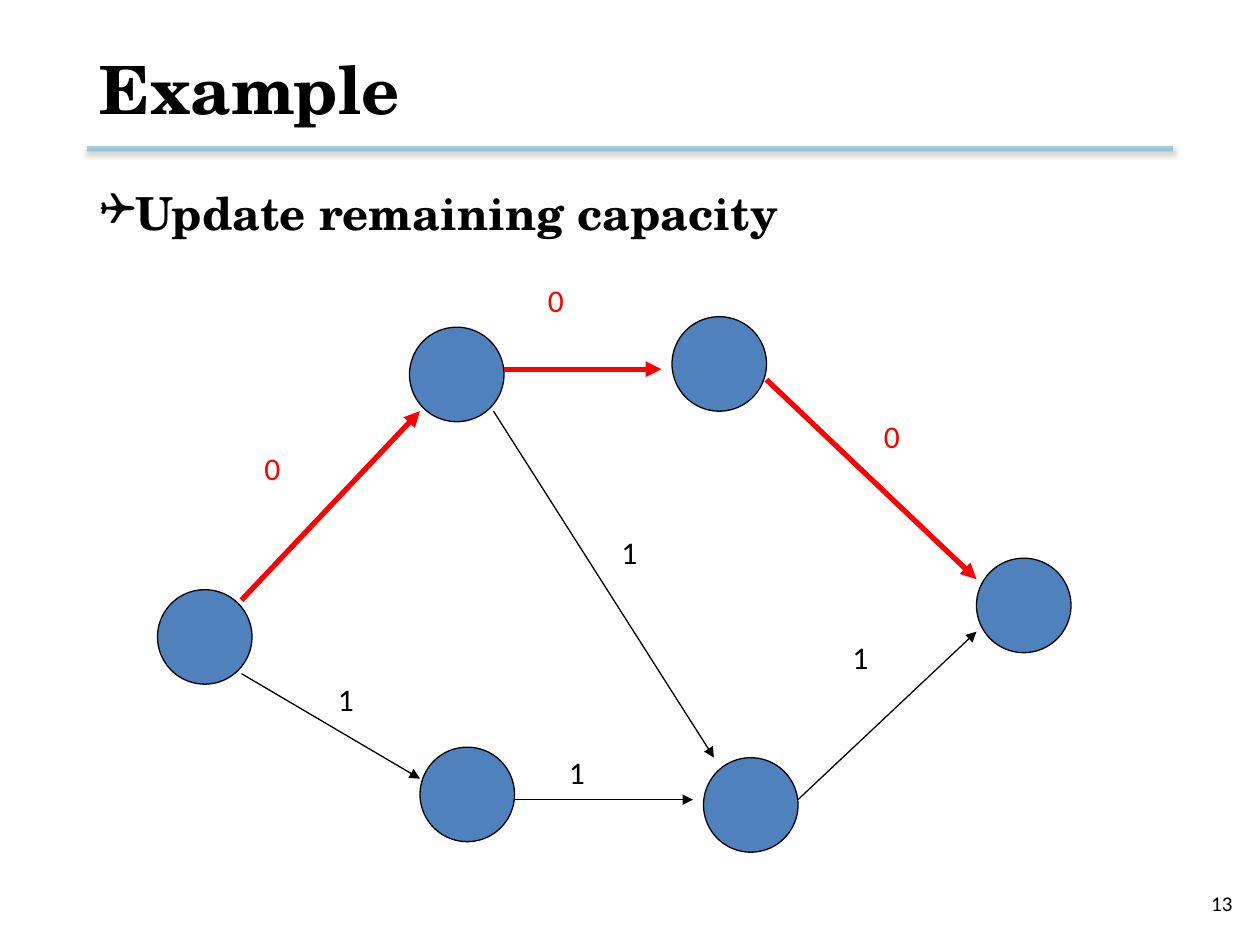
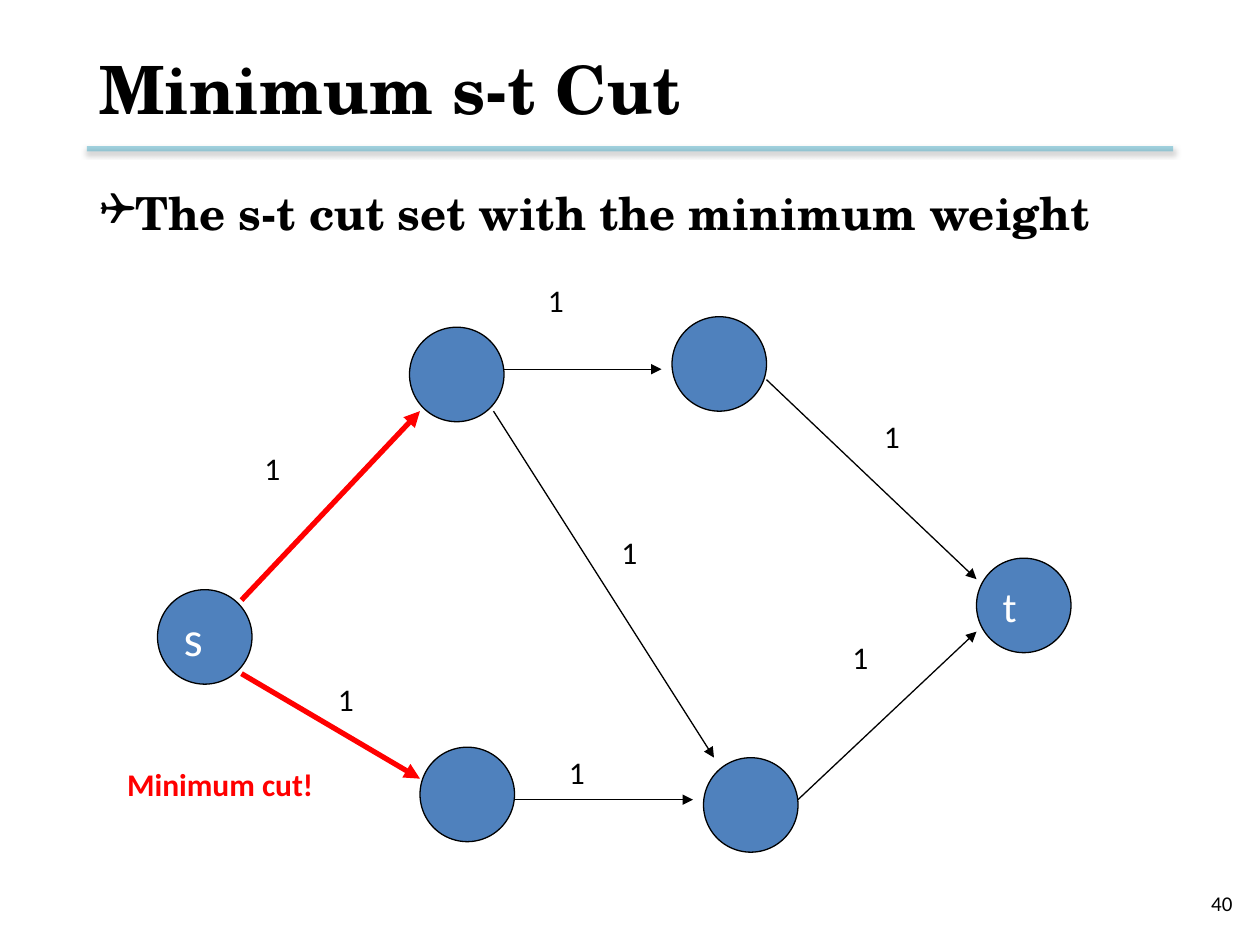
from dataclasses import dataclass

from lxml import etree
from pptx import Presentation, util as u
from pptx.dml.color import RGBColor
from pptx.enum import shapes, text
from pptx.oxml import parse_xml
from pptx.oxml.ns import qn

NS = 'xmlns:a="http://schemas.openxmlformats.org/drawingml/2006/main"'
CELL = u.Inches(1) // 12  # the slide is a grid of 120 columns by 90 rows


@dataclass(frozen=True)
class Theme:
    head: str = "TeX Gyre Schola"
    body: str = "Calibri"
    ink: str = "000000"
    mark: str = "FF0000"
    node: str = "4F81BD"
    rule: str = "4BACC6"
    pale: str = "FFFFFF"
    title: int = 38
    point: int = 26
    label: int = 18
    page: int = 12
    thin: float = 0.75
    thick: int = 3


T = Theme()


@dataclass(frozen=True)
class Box:
    col: float
    row: float
    wide: float
    high: float

    def spot(self, col, row):
        return round((self.col + col) * CELL), round((self.row + row) * CELL)

    def area(self, col, row, wide, high):
        return Box(self.col + col, self.row + row, wide, high)

    def rect(self):
        return (*self.spot(0, 0), round(self.wide * CELL), round(self.high * CELL))


PAGE = Box(0, 0, 120, 90)
MAIN = PAGE.area(8.28, 2.04, 103.44, 76.2)
GRAPH = PAGE.area(15, 26.16, 87, 55)

# Columns and rows inside GRAPH
SIZE = 9
NODES = {"s": (0, 30), "c": (25, 45), "a": (24, 5),
         "t": (78, 27), "d": (52, 46), "b": (49, 4)}
# edge: start, end, label corner, label width
EDGES = {
    "sa": ((8, 31), (25, 13), (9, 16), 7),
    "sc": ((8, 38), (25, 48), (16, 38), 5),
    "ab": ((33, 9), (48, 9), (36, 0), 10),
    "cd": ((34, 50), (51, 50), (38, 45), 6),
    "ad": ((32, 13), (53, 46), (43, 24), 8),
    "bt": ((58, 10), (78, 29), (68, 13), 8),
    "dt": ((61, 50), (78, 34), (65, 34), 8),
}


def style(frame, size, color=T.ink, face=T.body, bold=False):
    for run in frame.paragraphs[0].runs:
        font = run.font
        font.name, font.size, font.bold = face, u.Pt(size), bold
        font.color.rgb = RGBColor.from_string(color)


def write(slide, box, words, size, color=T.ink, bold=False, wrap=True):
    frame = slide.shapes.add_textbox(*box.rect()).text_frame
    frame.text, frame.word_wrap = words, wrap
    style(frame, size, color, bold=bold)
    return frame


def draw(slide, start, end, color, width):
    """Add a straight line without a shadow."""
    line = slide.shapes.add_connector(shapes.MSO_CONNECTOR.STRAIGHT, *start, *end)
    line.line.color.rgb = RGBColor.from_string(color)
    line.line.width = u.Pt(width)
    etree.SubElement(line._element.spPr, qn("a:effectLst"))
    return line


def fill(holder, box, words, size, anchor):
    """Place a placeholder and set its text in the heading face."""
    holder.left, holder.top, holder.width, holder.height = box.rect()
    frame = holder.text_frame
    frame.text, frame.word_wrap = words, True
    frame.auto_size = text.MSO_AUTO_SIZE.NONE
    frame.vertical_anchor = anchor
    para = frame.paragraphs[0]
    para.alignment = text.PP_ALIGN.LEFT
    para.space_before = u.Pt(0)
    style(frame, size, face=T.head, bold=True)
    return para


def rule(slide, box):
    line = draw(slide, box.spot(0, 0), box.spot(box.wide, 0), T.rule, T.thick)
    props = line._element.spPr
    tint = props.find(".//" + qn("a:srgbClr"))
    etree.SubElement(tint, qn("a:alpha"), val="50000")
    props.find(qn("a:effectLst")).append(parse_xml(
        f'<a:outerShdw {NS} blurRad="40000" dist="20000" dir="5400000" rotWithShape="0">'
        f'<a:srgbClr val="{T.ink}"><a:alpha val="38000"/></a:srgbClr></a:outerShdw>'))


def header(slide, box, title, point):
    fill(slide.shapes.title, box.area(0, 0, box.wide, 12.72), title, T.title,
         text.MSO_ANCHOR.MIDDLE)
    rule(slide, box.area(0, 12.12, box.wide, 0))
    para = fill(slide.placeholders[1], box.area(0, 15, box.wide, 61.2), point,
                T.point, text.MSO_ANCHOR.TOP)
    props = para._p.get_or_add_pPr()
    props.set("marL", str(u.Inches(0.25)))
    props.set("indent", str(u.Inches(-0.45)))
    etree.SubElement(props, qn("a:buFont"), typeface="Wingdings")
    etree.SubElement(props, qn("a:buChar"), char="❑")


def footer(slide, box, number):
    frame = write(slide, box.area(90.6, 83.64, 27.96, 4.8), str(number), T.page)
    frame.vertical_anchor = text.MSO_ANCHOR.MIDDLE
    frame.paragraphs[0].alignment = text.PP_ALIGN.RIGHT


def circle(slide, box, name, size):
    """Add a node; it shows its name when a type size is given."""
    node = slide.shapes.add_shape(shapes.MSO_SHAPE.OVAL, *box.rect())
    node.shadow.inherit = False
    node.fill.solid()
    node.fill.fore_color.rgb = RGBColor.from_string(T.node)
    node.line.color.rgb = RGBColor.from_string(T.ink)
    node.line.width = u.Pt(T.thin)
    if size:
        frame = node.text_frame
        frame.text, frame.word_wrap = name, False
        frame.vertical_anchor = text.MSO_ANCHOR.MIDDLE
        frame.paragraphs[0].alignment = text.PP_ALIGN.LEFT
        style(frame, size, T.pale)


def network(slide, box, bold, used=(), names=None):
    """Draw the flow graph: bold edges are thick, used ones have no capacity left."""
    names = names or {}
    for name, spot in NODES.items():
        circle(slide, box.area(*spot, SIZE, SIZE), name, names.get(name))
    for edge, (start, end, _, _) in EDGES.items():
        color, width = (T.mark, T.thick) if edge in bold else (T.ink, T.thin)
        line = draw(slide, box.spot(*start), box.spot(*end), color, width)
        stroke = line._element.spPr.find(qn("a:ln"))
        etree.SubElement(stroke, qn("a:tailEnd"), type="triangle")
    for edge, (_, _, spot, wide) in EDGES.items():
        value, color = ("0", T.mark) if edge in used else ("1", T.ink)
        frame = write(slide, box.area(*spot, wide, 4.8), value, T.label, color)
        frame.auto_size = text.MSO_AUTO_SIZE.SHAPE_TO_FIT_TEXT


def page(deck, title, point, number):
    slide = deck.slides.add_slide(deck.slide_layouts[1])
    header(slide, MAIN, title, point)
    footer(slide, PAGE, number)
    return slide


def main():
    deck = Presentation()
    deck.slide_width, deck.slide_height = PAGE.rect()[2:]

    route = ("sa", "ab", "bt")
    slide = page(deck, "Example", "Update remaining capacity", 13)
    network(slide, GRAPH, route, used=route)

    slide = page(deck, "Minimum s-t Cut", "The s-t cut set with the minimum weight", 40)
    network(slide, GRAPH, ("sa", "sc"), names={"s": 28, "t": 24})
    frame = write(slide, GRAPH.area(-4.08, 46.08, 20.28, 4.8), "Minimum cut!",
                  T.label, T.mark, bold=True, wrap=False)
    frame.auto_size = text.MSO_AUTO_SIZE.SHAPE_TO_FIT_TEXT

    deck.save("out.pptx")


if __name__ == "__main__":
    main()
